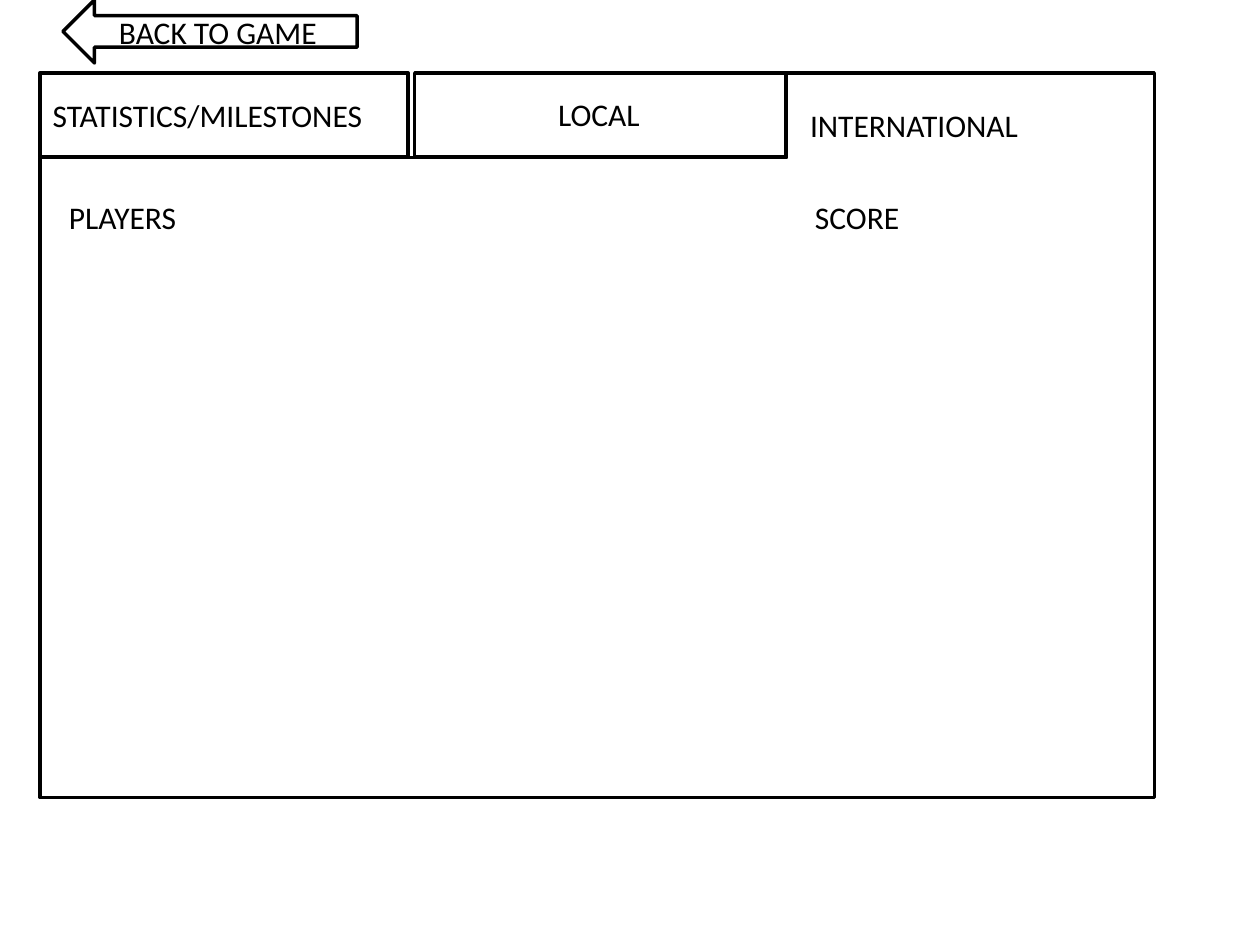
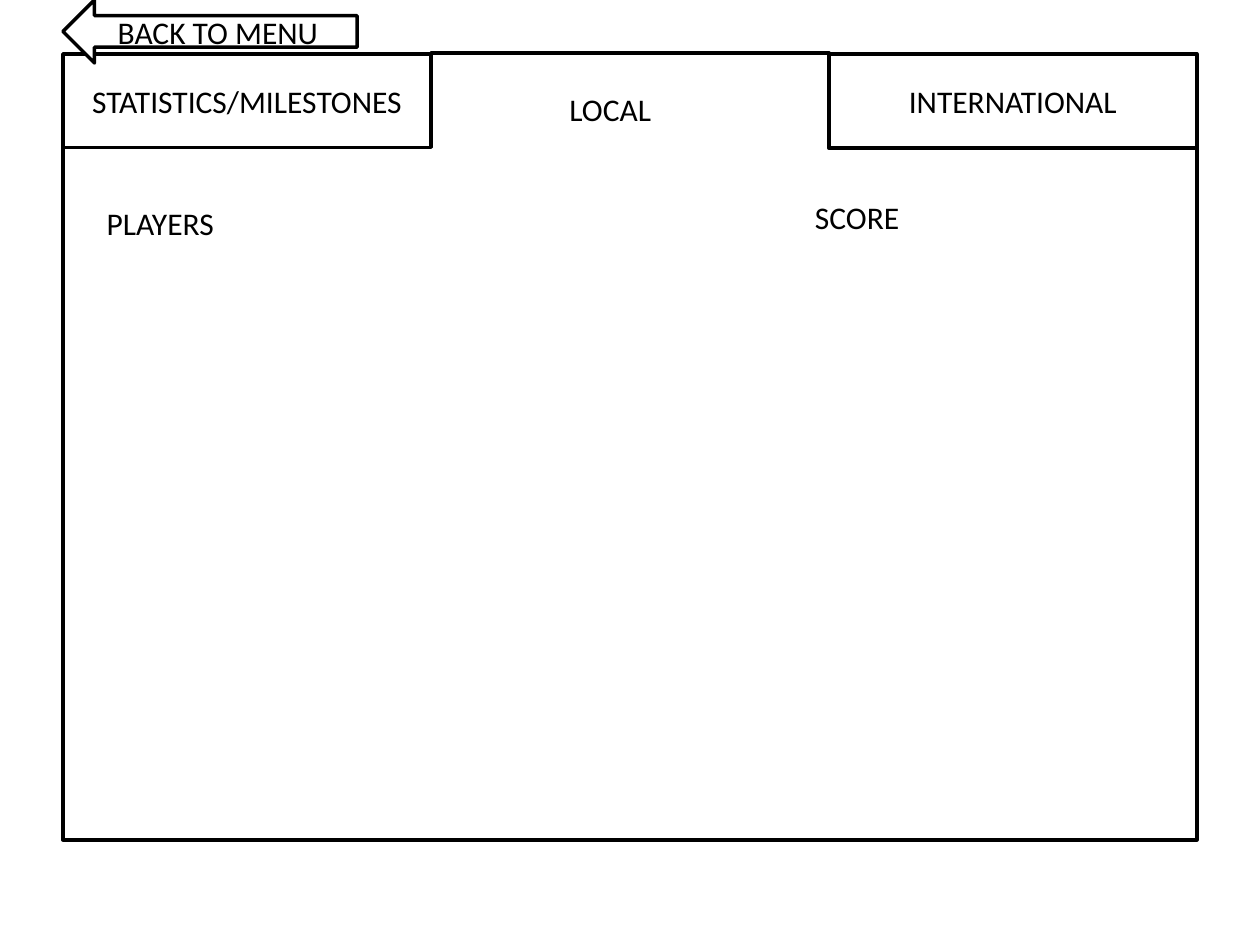
"""Wireframes of a game's score screens: a tabbed panel and a back arrow."""
from dataclasses import dataclass

from pptx import Presentation
from pptx.dml.color import RGBColor
from pptx.enum.shapes import MSO_SHAPE
from pptx.enum.text import MSO_ANCHOR, MSO_AUTO_SIZE, PP_ALIGN
from pptx.util import Cm, Pt

INK = "000000"
PAPER = "FFFFFF"
FONT = "Calibri"
TEXT_SIZE = Pt(18)
OUTLINE = Pt(2)
LABEL_HEIGHT = 1.02
TAB_WIDTH = 7.42


@dataclass(frozen=True)
class Button:
    """An outlined preset shape, with its text; lengths in centimetres."""
    text: str
    left: float
    top: float
    width: float
    height: float
    kind: MSO_SHAPE = MSO_SHAPE.RECTANGLE
    align: PP_ALIGN = PP_ALIGN.CENTER


@dataclass(frozen=True)
class Label:
    """A free line of text; lengths in centimetres."""
    text: str
    left: float
    top: float
    width: float = 6.78


@dataclass(frozen=True)
class Panel:
    """The corners of the open tab joined to its body, in centimetres."""
    corners: tuple


@dataclass(frozen=True)
class Screen:
    """One page: its items from back to front, then the back arrow's text."""
    items: tuple
    back: str


SCREENS = (
    Screen((
        Button("", 8.36, 1.47, 7.52, 1.7),
        Button("STATISTICS/MILESTONES", 0.81, 1.47, TAB_WIDTH, 1.7,
               align=PP_ALIGN.LEFT),
        Panel(((23.27, 1.47), (15.85, 1.47), (15.85, 3.18), (0.81, 3.18),
               (0.81, 16.08), (23.27, 16.08), (23.27, 3.18))),
        Label("INTERNATIONAL", 16.08, 2.01),
        Label("LOCAL", 11, 1.8, 7.09),
        Label("PLAYERS", 1.14, 3.86),
        Label("SCORE", 16.18, 3.86),
    ), "BACK TO GAME"),
    Screen((
        Button("STATISTICS/MILESTONES", 1.27, 1.09, TAB_WIDTH, 1.9),
        Panel(((8.69, 1.07), (16.71, 1.07), (16.71, 2.97), (24.13, 2.97),
               (24.13, 16.93), (1.27, 16.93), (1.27, 2.97), (8.69, 2.97))),
        Button("INTERNATIONAL", 16.71, 1.09, TAB_WIDTH, 1.9),
        Label("LOCAL", 11.23, 1.7, 8.05),
        Label("SCORE", 16.18, 3.86),
        Label("PLAYERS", 1.9, 3.99),
    ), "BACK TO MENU"),
)


def colour(value: str) -> RGBColor:
    """Turn a hex string into a colour."""
    return RGBColor.from_string(value)


def outline(shape) -> None:
    """Give a shape the shared fill and line, without a shadow."""
    shape.shadow.inherit = False
    shape.fill.solid()
    shape.fill.fore_color.rgb = colour(PAPER)
    shape.line.color.rgb = colour(INK)
    shape.line.width = OUTLINE


def write(frame, text: str, align: PP_ALIGN) -> None:
    """Write one line of text in the shared style."""
    para = frame.paragraphs[0]
    para.alignment = align
    span = para.add_run()
    span.text = text
    span.font.name = FONT
    span.font.size = TEXT_SIZE
    span.font.color.rgb = colour(INK)


def draw_button(page, button: Button) -> None:
    """Draw a tab or an arrow."""
    shape = page.shapes.add_shape(
        button.kind, Cm(button.left), Cm(button.top),
        Cm(button.width), Cm(button.height))
    outline(shape)
    if button.text:
        shape.text_frame.word_wrap = True
        shape.text_frame.vertical_anchor = MSO_ANCHOR.MIDDLE
        write(shape.text_frame, button.text, button.align)


def draw_label(page, label: Label) -> None:
    """Draw a text box that grows with its text."""
    box = page.shapes.add_textbox(
        Cm(label.left), Cm(label.top), Cm(label.width), Cm(LABEL_HEIGHT))
    box.text_frame.word_wrap = True
    box.text_frame.auto_size = MSO_AUTO_SIZE.SHAPE_TO_FIT_TEXT
    write(box.text_frame, label.text, PP_ALIGN.LEFT)


def draw_panel(page, panel: Panel) -> None:
    """Draw the closed outline of the open tab and its body."""
    start, *others = [(Cm(x), Cm(y)) for x, y in panel.corners]
    builder = page.shapes.build_freeform(*start)
    builder.add_line_segments(others, close=True)
    outline(builder.convert_to_shape())


DRAWERS = {Button: draw_button, Label: draw_label, Panel: draw_panel}


def draw_screen(deck, screen: Screen) -> None:
    """Add a page and draw its items, with the back arrow on top."""
    page = deck.slides.add_slide(deck.slide_layouts[6])
    arrow = Button(screen.back, 1.27, 0, 5.93, 1.27, MSO_SHAPE.LEFT_ARROW)
    for item in (*screen.items, arrow):
        DRAWERS[type(item)](page, item)


def main() -> None:
    """Build and save the deck."""
    deck = Presentation()
    deck.slide_width, deck.slide_height = Cm(25.4), Cm(19.05)
    for screen in SCREENS:
        draw_screen(deck, screen)
    deck.save("out.pptx")


main()
